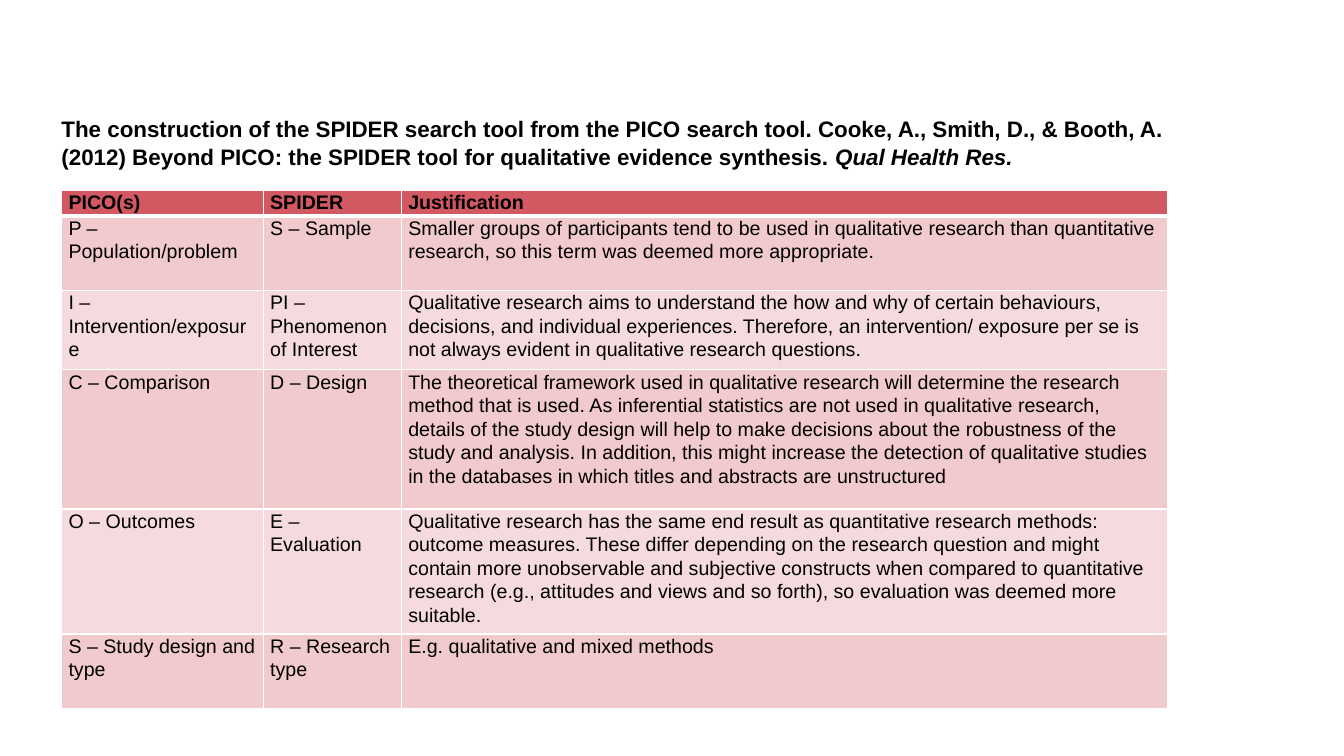
from pptx import Presentation
from pptx.dml.color import RGBColor as Rgb
from pptx.enum.text import MSO_ANCHOR as Anchor, PP_ALIGN as Align
from pptx.oxml import parse_xml
from pptx.oxml.ns import nsdecls
from pptx.util import Inches, Pt


def color(hex):
    return Rgb.from_string(hex)


def write(para, text, size=14, bold=False, italic=False, space=1.07):
    para.alignment = Align.LEFT
    para.line_spacing = space
    run = para.add_run()
    run.text = text
    font = run.font
    font.name, font.size = "Arial", Pt(size)
    font.bold, font.italic = bold, italic
    font.color.rgb = color("000000")


deck = Presentation()
deck.slide_width, deck.slide_height = Inches(13.33), Inches(7.5)
slide = deck.slides.add_slide(deck.slide_layouts[5])

# Title with the citation
title = slide.shapes.title
title.left, title.top = Inches(0.61), Inches(1.13)
title.width, title.height = Inches(11.6), Inches(0.6)
frame = title.text_frame
frame.margin_left = frame.margin_right = 0
frame.margin_top = frame.margin_bottom = 0
frame.vertical_anchor = Anchor.TOP
frame.word_wrap = True
head = frame.paragraphs[0]
write(head, "The construction of the SPIDER search tool from the PICO search tool. "
      "Cooke, A., Smith, D., & Booth, A. (2012) Beyond PICO: the SPIDER tool "
      "for qualitative evidence synthesis. ", size=16, bold=True, space=1.05)
write(head, "Qual Health Res.", size=16, bold=True, italic=True, space=1.05)

# Table content
rows = [
    ("PICO(s)", "SPIDER", "Justification"),
    ("P – Population/problem", "S – Sample",
     "Smaller groups of participants tend to be used in qualitative research than "
     "quantitative research, so this term was deemed more appropriate."),
    ("I – Intervention/exposure", "PI – Phenomenon of Interest",
     "Qualitative research aims to understand the how and why of certain behaviours, "
     "decisions, and individual experiences. Therefore, an intervention/ exposure per se "
     "is not always evident in qualitative research questions."),
    ("C – Comparison", "D – Design",
     "The theoretical framework used in qualitative research will determine the research "
     "method that is used. As inferential statistics are not used in qualitative research, "
     "details of the study design will help to make decisions about the robustness of the "
     "study and analysis. In addition, this might increase the detection of qualitative "
     "studies in the databases in which titles and abstracts are unstructured"),
    ("O – Outcomes", "E – Evaluation",
     "Qualitative research has the same end result as quantitative research methods: "
     "outcome measures. These differ depending on the research question and might contain "
     "more unobservable and subjective constructs when compared to quantitative research "
     "(e.g., attitudes and views and so forth), so evaluation was deemed more suitable."),
    ("S – Study design and type", "R – Research type",
     "E.g. qualitative and mixed methods"),
]
widths = [2, 1.37, 7.6]
heights = [0.25, 0.74, 0.79, 1.38, 1.24, 0.74]

# Table grid
table = slide.shapes.add_table(len(rows), len(widths), Inches(0.61), Inches(1.89),
                               Inches(sum(widths)), Inches(sum(heights))).table
for col, width in zip(table.columns, widths):
    col.width = Inches(width)
for row, height in zip(table.rows, heights):
    row.height = Inches(height)

# Cells: white borders, thick rule below the header, banded fills
for r, texts in enumerate(rows):
    fill = "D25861" if r == 0 else ("F5DBDD", "F1CACD")[r % 2]
    for c, text in enumerate(texts):
        cell = table.cell(r, c)
        cell.margin_left = cell.margin_right = Inches(0.07)
        cell.margin_top = cell.margin_bottom = 0
        cell.vertical_anchor = Anchor.TOP
        props = cell._tc.get_or_add_tcPr()
        for side in "LRTB":
            thick = (r, side) in ((0, "B"), (1, "T"))
            props.append(parse_xml(
                f'<a:ln{side} {nsdecls("a")} w="{Pt(3 if thick else 1)}"><a:solidFill>'
                f'<a:srgbClr val="FFFFFF"/></a:solidFill></a:ln{side}>'))
        cell.fill.solid()
        cell.fill.fore_color.rgb = color(fill)
        write(cell.text_frame.paragraphs[0], text, bold=r == 0)

deck.save("out.pptx")
